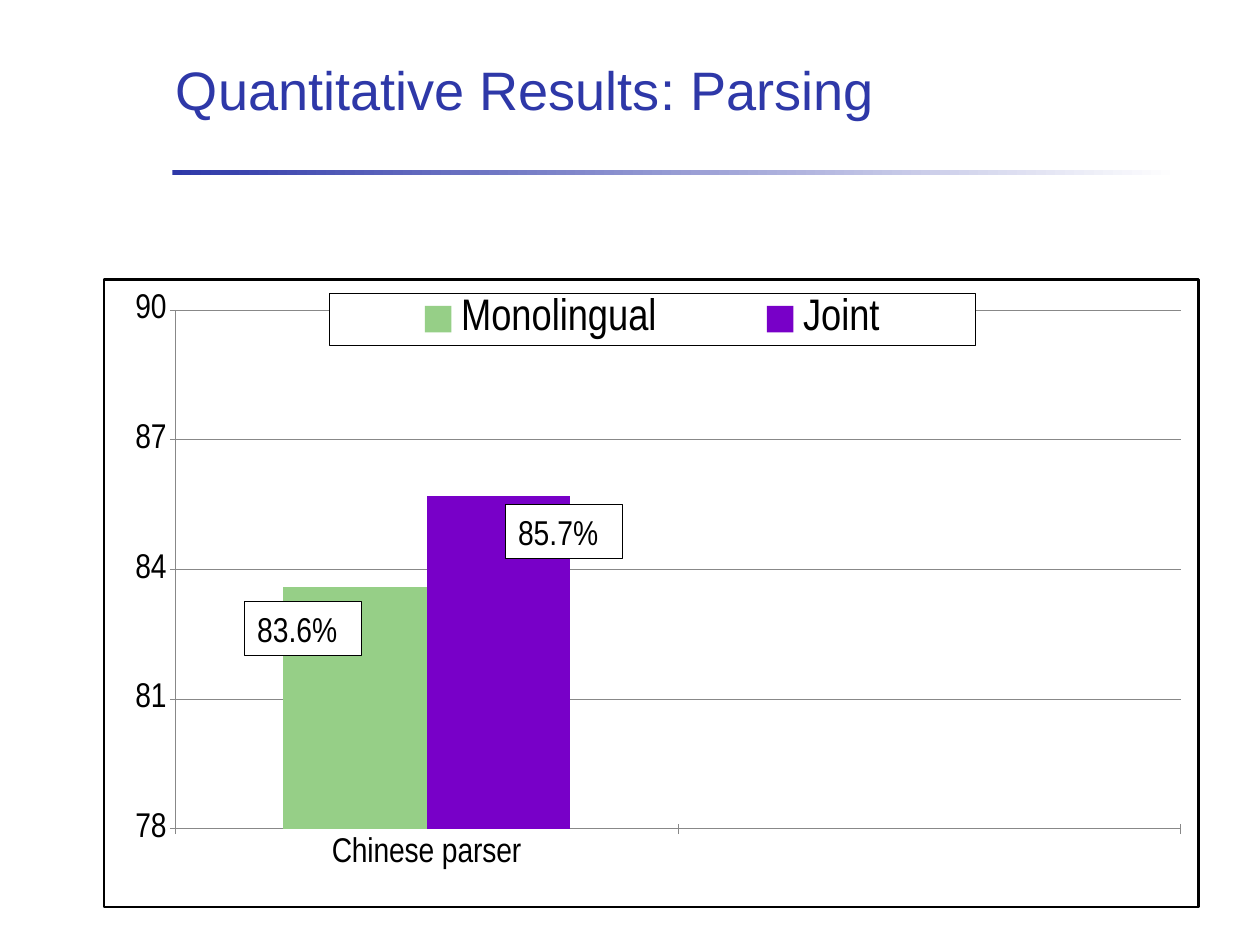
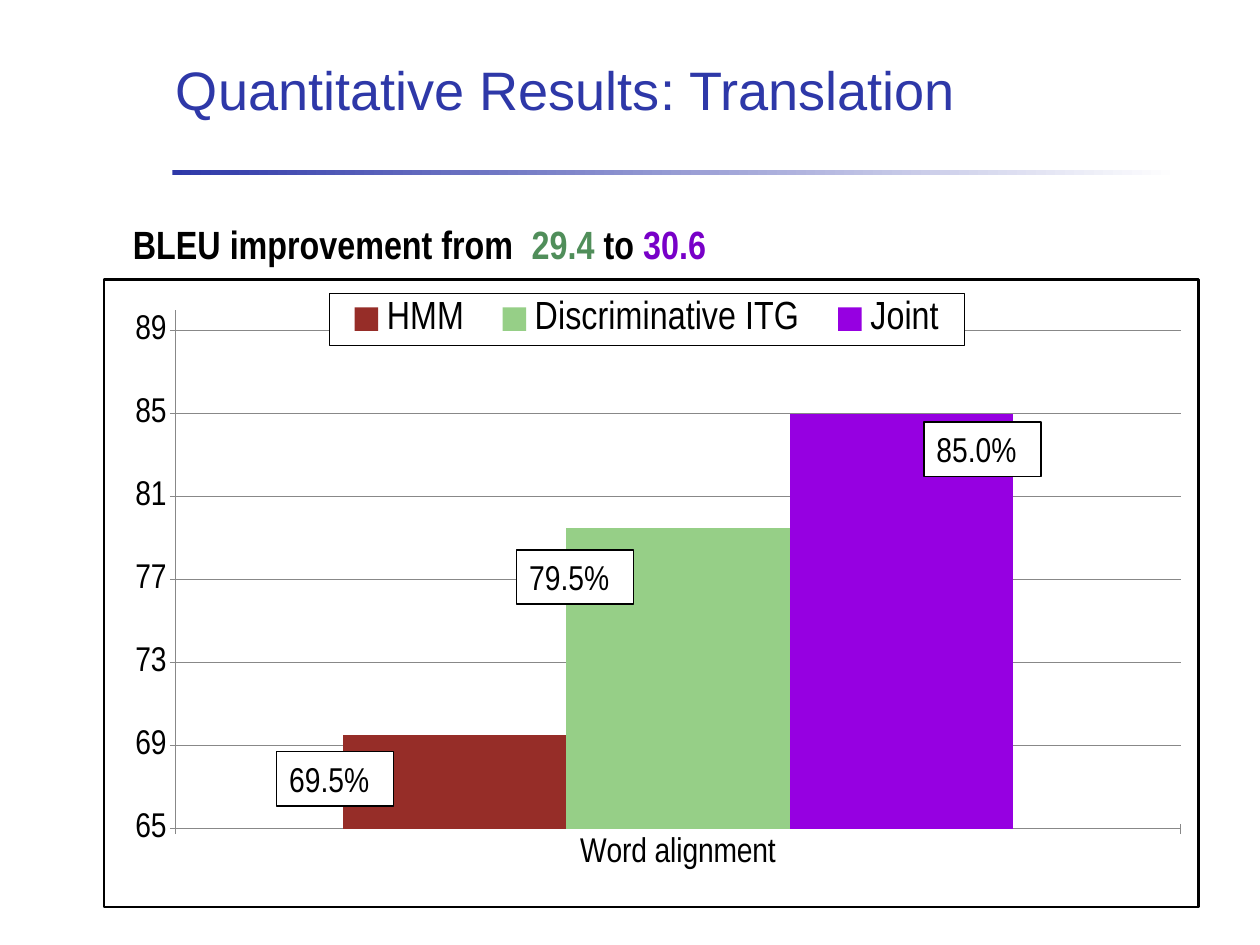
from lxml import etree
from pptx import Presentation
from pptx.chart.data import CategoryChartData
from pptx.dml.color import RGBColor
from pptx.enum.chart import XL_CHART_TYPE, XL_LEGEND_POSITION, XL_TICK_MARK
from pptx.enum.shapes import MSO_SHAPE
from pptx.enum.text import MSO_ANCHOR, MSO_AUTO_SIZE, PP_ALIGN
from pptx.oxml import parse_xml
from pptx.oxml.ns import nsdecls, qn
from pptx.util import Pt

# Shared style
NAVY, BLACK, WHITE, GREY = "2E38A8", "000000", "FFFFFF", "888888"
GREEN, PURPLE = "96CF87", "7800C8"
TITLE_FONT, BODY_FONT = "Arial", "Arial Narrow"
PLOT_AREA = (0.065, 0.049, 0.919, 0.827)

# Series: name, value, colour, left and top of the value label
RESULTS = [
    {"title": "Quantitative Results: Parsing",
     "categories": ["Chinese parser", ""],
     "scale": (78, 90, 3), "legend_size": 36, "legend_width": 0.59,
     "series": [("Monolingual", 83.6, GREEN, 199, 489),
                ("Joint", 85.7, PURPLE, 411, 410)],
     "headline": []},
    {"title": "Quantitative Results: Translation",
     "categories": ["Word alignment"],
     "scale": (65, 90, 4), "legend_size": 32, "legend_width": 0.58,
     "series": [("HMM", 69.5, "962D28", 225, 611),
                ("Discriminative ITG", 79.5, GREEN, 420, 447),
                ("Joint", 85.0, "9600E1", 751, 343)],
     "headline": [("BLEU improvement from  ", BLACK), ("29.4 ", "508E5A"),
                  ("to ", BLACK), ("30.6", PURPLE)]},
]


def rgb(value):
    return RGBColor.from_string(value)


def add_layout(parent, box, inner=False):
    """Place a plot area or legend by fractions of the chart."""
    for old in parent.findall(qn("c:layout")):
        parent.remove(old)
    target = '<c:layoutTarget val="inner"/>' if inner else ""
    modes = '<c:xMode val="edge"/><c:yMode val="edge"/>'
    sizes = "".join(f'<c:{key} val="{size}"/>' for key, size in zip("xywh", box))
    layout = parse_xml(f'<c:layout {nsdecls("c")}><c:manualLayout>{target}{modes}'
                       f'{sizes}</c:manualLayout></c:layout>')
    if inner:
        parent.insert(0, layout)
    else:
        parent.find(qn("c:legendPos")).addnext(layout)


prs = Presentation()
prs.slide_width, prs.slide_height = Pt(1024), Pt(768)
title_only = prs.slide_layouts[5]
slides = [prs.slides.add_slide(title_only) for _ in RESULTS]

# Fading rule under the title, moved to the layout for all slides
rule = slides[0].shapes.add_shape(MSO_SHAPE.RECTANGLE, Pt(140), Pt(138), Pt(819), Pt(4))
rule.shadow.inherit = False
rule.line.fill.background()
rule.fill.gradient()
rule.fill.gradient_angle = 0
for stop, position, colour in zip(rule.fill.gradient_stops, (0, 1), (NAVY, WHITE)):
    stop.position = position
    stop.color.rgb = rgb(colour)
title_only.shapes.element.append(rule.element)

for slide, result in zip(slides, RESULTS):
    # Title
    title = slide.shapes.title
    title.left, title.top, title.width, title.height = Pt(133), Pt(21.5), Pt(886), Pt(102)
    frame = title.text_frame
    frame.text = result["title"]
    frame.auto_size = MSO_AUTO_SIZE.NONE
    frame.vertical_anchor = MSO_ANCHOR.MIDDLE
    frame.margin_left = frame.margin_right = Pt(10)
    frame.margin_top = frame.margin_bottom = Pt(5)
    heading = frame.paragraphs[0]
    heading.alignment = PP_ALIGN.LEFT
    heading.font.name, heading.font.size = TITLE_FONT, Pt(44)
    heading.font.color.rgb = rgb(NAVY)

    # Column chart
    data = CategoryChartData(number_format="0.0")
    data.categories = result["categories"]
    padding = [None] * (len(result["categories"]) - 1)
    for name, value, *_ in result["series"]:
        data.add_series(name, [value] + padding)
    chart = slide.shapes.add_chart(XL_CHART_TYPE.COLUMN_CLUSTERED, Pt(83.5), Pt(226),
                                   Pt(891.5), Pt(512), data).chart
    chart.has_title = False
    chart.font.name, chart.font.size = BODY_FONT, Pt(18)
    chart.font.color.rgb = rgb(BLACK)
    columns = chart.plots[0]
    columns.gap_width, columns.overlap = 150, 0
    columns.vary_by_categories = False
    for series, (_, _, colour, *_) in zip(columns.series, result["series"]):
        series.format.fill.solid()
        series.format.fill.fore_color.rgb = rgb(colour)

    # Axes
    scores = chart.value_axis
    scores.minimum_scale, scores.maximum_scale, scores.major_unit = result["scale"]
    scores.tick_labels.number_format = "0"
    scores.tick_labels.number_format_is_linked = False
    scores.has_major_gridlines = True
    for axis in (scores, chart.category_axis):
        axis.major_tick_mark = XL_TICK_MARK.CROSS
        axis.minor_tick_mark = XL_TICK_MARK.NONE
        axis.tick_labels.font.size = Pt(28)
    for line in (scores.format.line, chart.category_axis.format.line,
                 scores.major_gridlines.format.line):
        line.color.rgb = rgb(GREY)
        line.width = Pt(0.75)

    # Legend, plot area and frames
    chart.has_legend = True
    legend = chart.legend
    legend.position = XL_LEGEND_POSITION.TOP
    legend.include_in_layout = False
    legend.font.size = Pt(result["legend_size"])
    add_layout(legend._element, (0.206, 0.022, result["legend_width"], 0.083))
    add_layout(chart.element.find(".//" + qn("c:plotArea")), PLOT_AREA, inner=True)
    for before, width in ((legend._element.find(qn("c:overlay")), 1),
                          (chart.element.find(qn("c:chart")), 2)):
        before.addnext(parse_xml(
            f'<c:spPr {nsdecls("c", "a")}><a:solidFill><a:srgbClr val="{WHITE}"/></a:solidFill>'
            f'<a:ln w="{Pt(width)}"><a:solidFill><a:srgbClr val="{BLACK}"/></a:solidFill>'
            '</a:ln></c:spPr>'))

    # Value labels
    for _, value, _, left, top in result["series"]:
        label = slide.shapes.add_shape(MSO_SHAPE.RECTANGLE, Pt(left), Pt(top), Pt(95), Pt(44))
        label.shadow.inherit = False
        label.fill.solid()
        label.fill.fore_color.rgb = rgb(WHITE)
        label.line.color.rgb = rgb(BLACK)
        label.line.width = Pt(1)
        frame = label.text_frame
        frame.text = f"{value:.1f}%"
        frame.margin_left = frame.margin_right = Pt(10)
        frame.margin_top = frame.margin_bottom = Pt(5)
        percent = frame.paragraphs[0]
        percent.alignment = PP_ALIGN.LEFT
        percent.font.name, percent.font.size = BODY_FONT, Pt(28)
        percent.font.color.rgb = rgb(BLACK)

    # Headline above the chart
    if result["headline"]:
        headline = slide.shapes.add_textbox(Pt(101), Pt(137), Pt(831), Pt(85))
        headline.text_frame.word_wrap = True
        sentence = headline.text_frame.paragraphs[0]
        sentence.line_spacing = 2.0
        for words, colour in result["headline"]:
            run = sentence.add_run()
            run.text = words
            run.font.name, run.font.size, run.font.bold = BODY_FONT, Pt(32), True
            run.font.color.rgb = rgb(colour)

prs.save("out.pptx")
